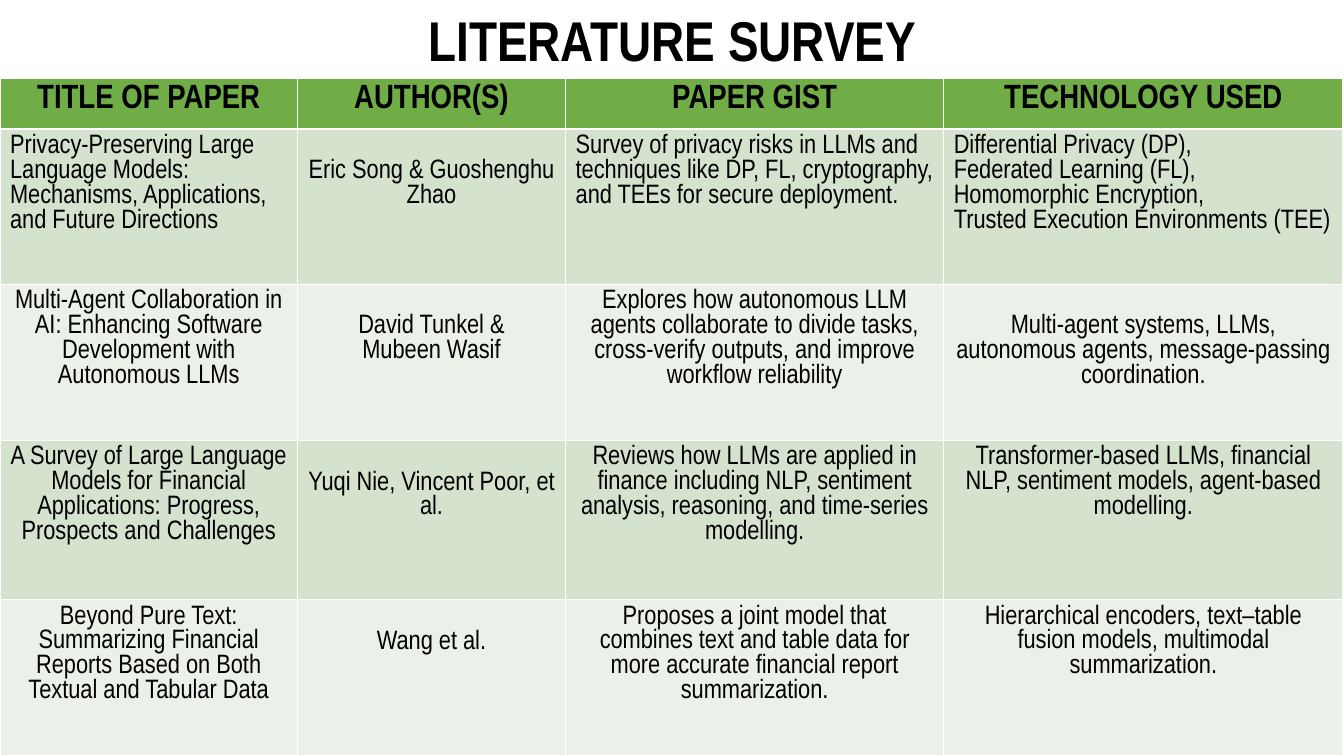
from pptx import Presentation
from pptx.dml.color import RGBColor
from pptx.enum.text import MSO_ANCHOR, MSO_AUTO_SIZE, PP_ALIGN
from pptx.util import Inches, Pt

COLORS = {"text": "000000", "header": "70AD47", "odd": "D4E2CE", "even": "EBF1E8"}
COLUMN_WIDTHS = [2.95, 2.66, 3.75, 3.96]
ROW_HEIGHTS = [0.5, 1.54, 1.55, 1.58, 1.55]
HEADINGS = ["TITLE OF PAPER", "AUTHOR(S)", "PAPER GIST", "TECHNOLOGY USED"]
PAPERS = [
    ["Privacy-Preserving Large Language Models: Mechanisms, Applications, and Future Directions",
     "Eric Song & Guoshenghu Zhao",
     "Survey of privacy risks in LLMs and techniques like DP, FL, cryptography, and TEEs "
     "for secure deployment.",
     "Differential Privacy (DP),\nFederated Learning (FL),\nHomomorphic Encryption,\n"
     "Trusted Execution Environments (TEE)"],
    ["Multi-Agent Collaboration in AI: Enhancing Software Development with Autonomous LLMs",
     "David Tunkel &\nMubeen Wasif",
     "Explores how autonomous LLM agents collaborate to divide tasks, cross-verify outputs, "
     "and improve workflow reliability",
     "Multi-agent systems, LLMs, autonomous agents, message-passing coordination."],
    ["A Survey of Large Language Models for Financial Applications: Progress, Prospects "
     "and Challenges",
     "Yuqi Nie, Vincent Poor, et al.",
     "Reviews how LLMs are applied in finance including NLP, sentiment analysis, reasoning, "
     "and time-series modelling.",
     "Transformer-based LLMs, financial NLP, sentiment models, agent-based modelling."],
    ["Beyond Pure Text: Summarizing Financial Reports Based on Both Textual and Tabular Data",
     "Wang et al.",
     "Proposes a joint model that combines text and table data for more accurate financial "
     "report summarization.",
     "Hierarchical encoders, text–table fusion models, multimodal summarization."],
]
LEFT_ALIGNED = {(1, 0), (1, 2), (1, 3)}
LOWERED = {(1, 1), (2, 1), (3, 1), (4, 1), (2, 3)}


class SurveySlide:
    """Holds the type style and the slide that titles and tables are added to."""

    font = "Arial Narrow"

    def __init__(self, deck):
        self.slide = deck.slides.add_slide(deck.slide_layouts[5])

    def set_text(self, frame, text, size, bold=False, align=PP_ALIGN.CENTER):
        frame.text = text
        for paragraph in frame.paragraphs:
            paragraph.alignment = align
            paragraph.line_spacing = 1.0
            for run in paragraph.runs:
                run.font.name = self.font
                run.font.size = Pt(size)
                run.font.bold = bold
                run.font.color.rgb = RGBColor.from_string(COLORS["text"])

    def title(self, text, left, top, width, height):
        heading = self.slide.shapes.title
        heading.left, heading.top = Inches(left), Inches(top)
        heading.width, heading.height = Inches(width), Inches(height)
        frame = heading.text_frame
        frame.word_wrap = True
        frame.auto_size = MSO_AUTO_SIZE.NONE
        frame.vertical_anchor = MSO_ANCHOR.BOTTOM
        self.set_text(frame, text, 40, bold=True)

    def table(self, rows, left, top):
        survey = self.slide.shapes.add_table(
            len(rows), len(COLUMN_WIDTHS), Inches(left), Inches(top),
            Inches(sum(COLUMN_WIDTHS)), Inches(sum(ROW_HEIGHTS))).table
        for column, width in zip(survey.columns, COLUMN_WIDTHS):
            column.width = Inches(width)
        for r, (row, height) in enumerate(zip(survey.rows, ROW_HEIGHTS)):
            row.height = Inches(height)
            shade = "header" if r == 0 else "odd" if r % 2 else "even"
            for c, cell in enumerate(row.cells):
                cell.fill.solid()
                cell.fill.fore_color.rgb = RGBColor.from_string(COLORS[shade])
                cell.margin_top = Inches(0.3 if (r, c) in LOWERED else 0.05)
                align = PP_ALIGN.LEFT if (r, c) in LEFT_ALIGNED else PP_ALIGN.CENTER
                self.set_text(cell.text_frame, rows[r][c], 19 if r else 24, r == 0, align)


def main():
    deck = Presentation()
    deck.slide_width, deck.slide_height = Inches(13.33), Inches(7.5)
    survey = SurveySlide(deck)
    survey.title("LITERATURE SURVEY", 0.08, 0, 13.18, 0.77)
    survey.table([HEADINGS] + PAPERS, 0, 0.78)
    deck.save("out.pptx")


if __name__ == "__main__":
    main()
